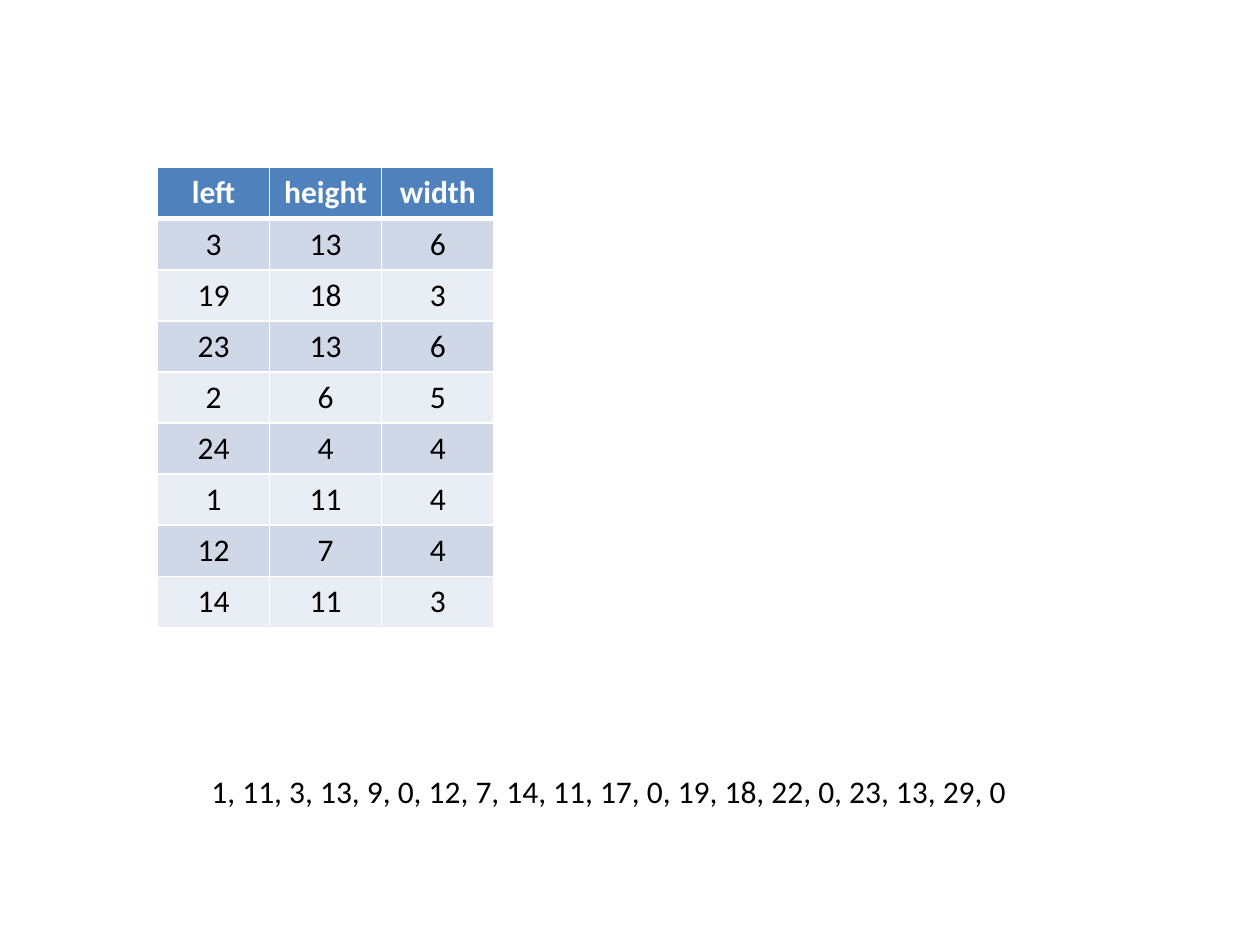
from lxml import etree
from pptx import Presentation
from pptx.dml.color import RGBColor
from pptx.enum.text import MSO_ANCHOR, MSO_AUTO_SIZE, PP_ALIGN
from pptx.oxml.ns import qn
from pptx.util import Inches, Pt

MIDDLE = MSO_ANCHOR.MIDDLE
CENTER = PP_ALIGN.CENTER
FIT_SHAPE = MSO_AUTO_SIZE.SHAPE_TO_FIT_TEXT

COLORS = {
    "header": "4F81BD",
    "odd_row": "D0D8E8",
    "even_row": "E9EDF4",
    "line": "FFFFFF",
    "header_text": "FFFFFF",
    "text": "000000",
}
FONT, FONT_SIZE = "Calibri", Pt(18)

BUILDINGS = [
    ("left", "height", "width"),
    (3, 13, 6),
    (19, 18, 3),
    (23, 13, 6),
    (2, 6, 5),
    (24, 4, 4),
    (1, 11, 4),
    (12, 7, 4),
    (14, 11, 3),
]
SKYLINE = "1, 11, 3, 13, 9, 0, 12, 7, 14, 11, 17, 0, 19, 18, 22, 0, 23, 13, 29, 0"


def add_run(paragraph, text, color, bold=False):
    run = paragraph.add_run()
    run.text = text
    run.font.name, run.font.size, run.font.bold = FONT, FONT_SIZE, bold
    run.font.color.rgb = RGBColor.from_string(COLORS[color])


def set_borders(cell, bottom_width, top_width):
    """Draw the four edges of a cell; must run before its fill is set."""
    properties = cell._tc.get_or_add_tcPr()
    widths = {"a:lnL": 1, "a:lnR": 1, "a:lnT": top_width, "a:lnB": bottom_width}
    for tag, width in widths.items():
        line = etree.SubElement(properties, qn(tag), w=str(Pt(width)))
        fill = etree.SubElement(line, qn("a:solidFill"))
        etree.SubElement(fill, qn("a:srgbClr"), val=COLORS["line"])


def add_building_table(slide, left, top, width, height):
    row_count, column_count = len(BUILDINGS), len(BUILDINGS[0])
    table = slide.shapes.add_table(
        row_count, column_count, left, top, width, height
    ).table
    for row_index, values in enumerate(BUILDINGS):
        is_header = row_index == 0
        row_fill = "odd_row" if row_index % 2 else "even_row"
        for column_index, value in enumerate(values):
            cell = table.cell(row_index, column_index)
            set_borders(cell, 3 if is_header else 1, 3 if row_index == 1 else 1)
            cell.fill.solid()
            cell.fill.fore_color.rgb = RGBColor.from_string(
                COLORS["header" if is_header else row_fill]
            )
            cell.vertical_anchor = MIDDLE
            paragraph = cell.text_frame.paragraphs[0]
            paragraph.alignment = CENTER
            add_run(paragraph, str(value),
                    "header_text" if is_header else "text", is_header)


def add_skyline(slide, left, top, width, height):
    frame = slide.shapes.add_textbox(left, top, width, height).text_frame
    frame.word_wrap = True
    frame.auto_size = FIT_SHAPE
    add_run(frame.paragraphs[0], SKYLINE, "text")


def main():
    presentation = Presentation()
    presentation.slide_width, presentation.slide_height = Inches(10), Inches(7.5)
    blank_layout = presentation.slide_layouts[6]
    slide = presentation.slides.add_slide(blank_layout)
    add_skyline(slide, Inches(1.58), Inches(6.08), Inches(7.08), Inches(0.4))
    add_building_table(slide, Inches(1.25), Inches(1.33), Inches(2.67), Inches(3.65))
    presentation.save("out.pptx")


if __name__ == "__main__":
    main()
